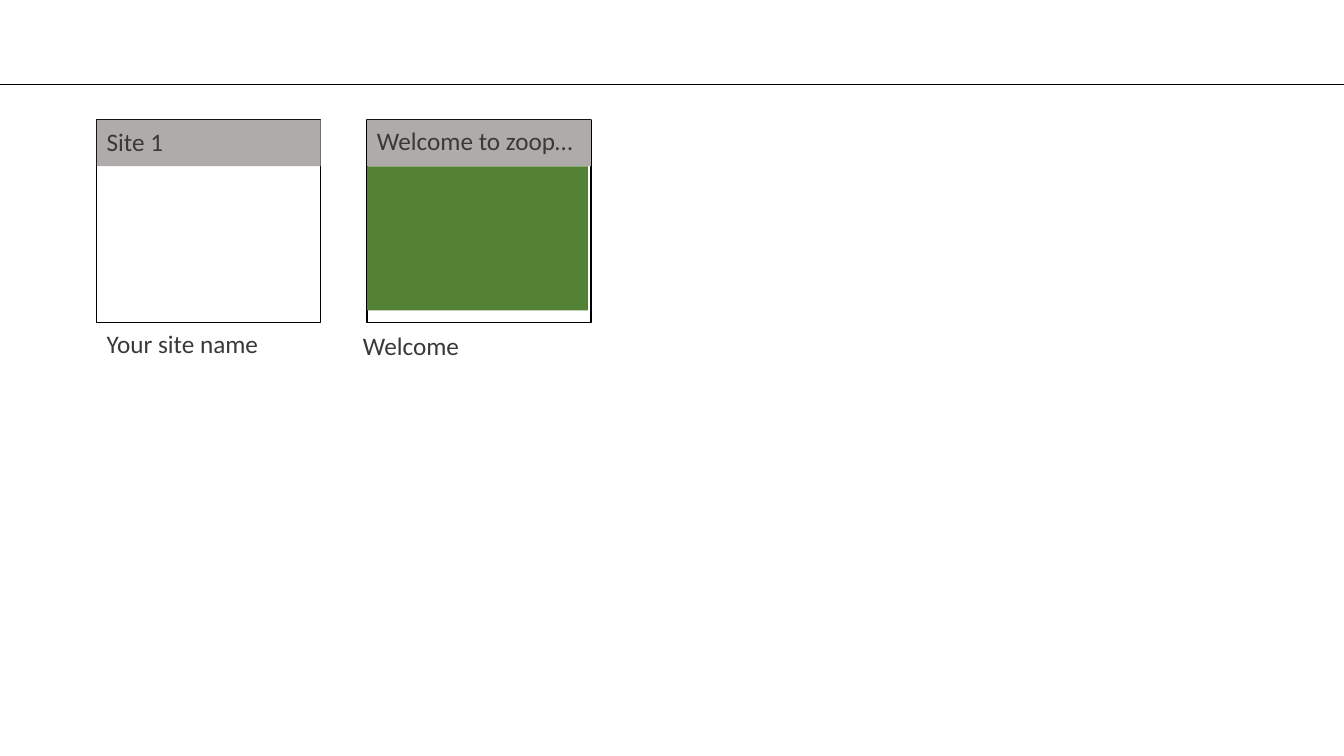
from dataclasses import dataclass

import pptx
import pptx.dml.color
import pptx.enum.shapes
import pptx.enum.text
import pptx.oxml
import pptx.oxml.ns
import pptx.util

# Content: title box and caption box are (text, shift from card's left, top, width)
CARDS = [
    {"title": ("Site 1", 0, 1.2, 1.53),
     "caption": ("Your site name", 0, 3.21, 1.82),
     "preview": None},
    {"title": ("Welcome to zoop…", 0, 1.19, 2.22),
     "caption": ("Welcome", -0.14, 3.23, 1.82),
     "preview": (2.19, 1.43)},
]
RULE_ENDS = [13.33, 10.35]


@dataclass(frozen=True)
class Theme:
    font: str = "Calibri"
    size: int = 18
    ink: str = "3B3838"
    line: str = "000000"
    paper: str = "FFFFFF"
    bar: str = "AFABAB"
    preview: str = "548235"


THEME = Theme()

# Grid, in inches
SLIDE_W, SLIDE_H = 13.33, 7.5
RULE_Y = 0.84
CARD_LEFT, CARD_TOP, CARD_PITCH = 0.96, 1.19, 2.68
CARD_W, CARD_H, BAR_H = 2.22, 2.01, 0.46
TEXT_H = 0.4

inch = pptx.util.Inches


def color(value):
    return pptx.dml.color.RGBColor.from_string(value)


def add_rule(page, end):
    rule = page.shapes.add_connector(
        pptx.enum.shapes.MSO_CONNECTOR.STRAIGHT,
        inch(0), inch(RULE_Y), inch(end), inch(RULE_Y))
    rule.line.color.rgb = color(THEME.line)
    rule.line.width = pptx.util.Pt(0.5)
    properties = rule._element.spPr
    properties.append(pptx.oxml.parse_xml(
        f"<a:effectLst {pptx.oxml.ns.nsdecls('a')}/>"))


def add_block(page, left, top, width, height, fill, outlined=False):
    block = page.shapes.add_shape(
        pptx.enum.shapes.MSO_SHAPE.RECTANGLE,
        inch(left), inch(top), inch(width), inch(height))
    block.shadow.inherit = False
    block.fill.solid()
    block.fill.fore_color.rgb = color(fill)
    if outlined:
        block.line.color.rgb = color(THEME.line)
        block.line.width = pptx.util.Pt(1)
    else:
        block.line.fill.background()


def add_label(page, card_left, label):
    text, shift, top, width = label
    box = page.shapes.add_textbox(
        inch(card_left + shift), inch(top), inch(width), inch(TEXT_H))
    frame = box.text_frame
    frame.word_wrap = True
    frame.auto_size = pptx.enum.text.MSO_AUTO_SIZE.SHAPE_TO_FIT_TEXT
    span = frame.paragraphs[0].add_run()
    span.text = text
    span.font.name = THEME.font
    span.font.size = pptx.util.Pt(THEME.size)
    span.font.color.rgb = color(THEME.ink)


def add_card(page, left, card):
    add_block(page, left, CARD_TOP, CARD_W, CARD_H, THEME.paper, outlined=True)
    add_block(page, left, CARD_TOP, CARD_W, BAR_H, THEME.bar)
    add_label(page, left, card["title"])
    if card["preview"]:
        add_block(page, left, CARD_TOP + BAR_H, *card["preview"], THEME.preview)
    add_label(page, left, card["caption"])


def main():
    deck = pptx.Presentation()
    deck.slide_width, deck.slide_height = inch(SLIDE_W), inch(SLIDE_H)
    page = deck.slides.add_slide(deck.slide_layouts[6])

    # Header rules
    for end in RULE_ENDS:
        add_rule(page, end)

    # Site cards
    for column, card in enumerate(CARDS):
        add_card(page, CARD_LEFT + column * CARD_PITCH, card)

    deck.save("out.pptx")


if __name__ == "__main__":
    main()
